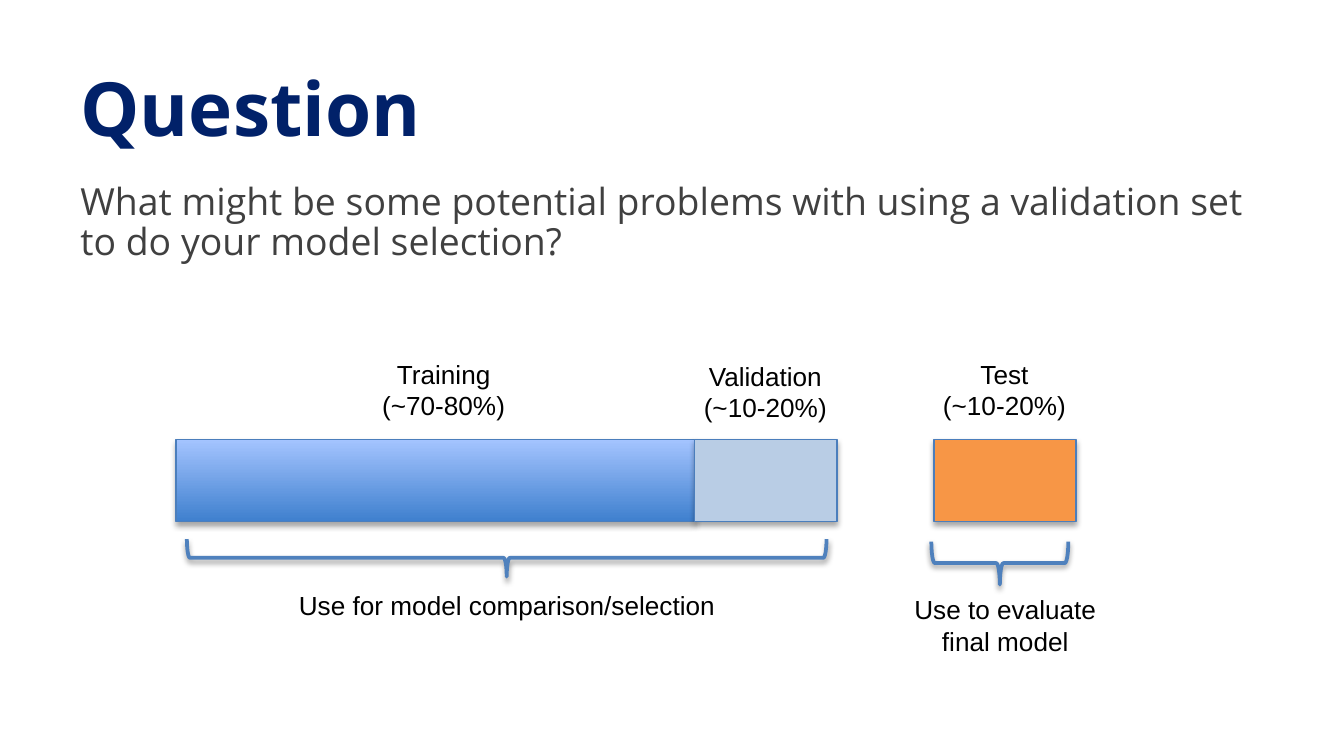
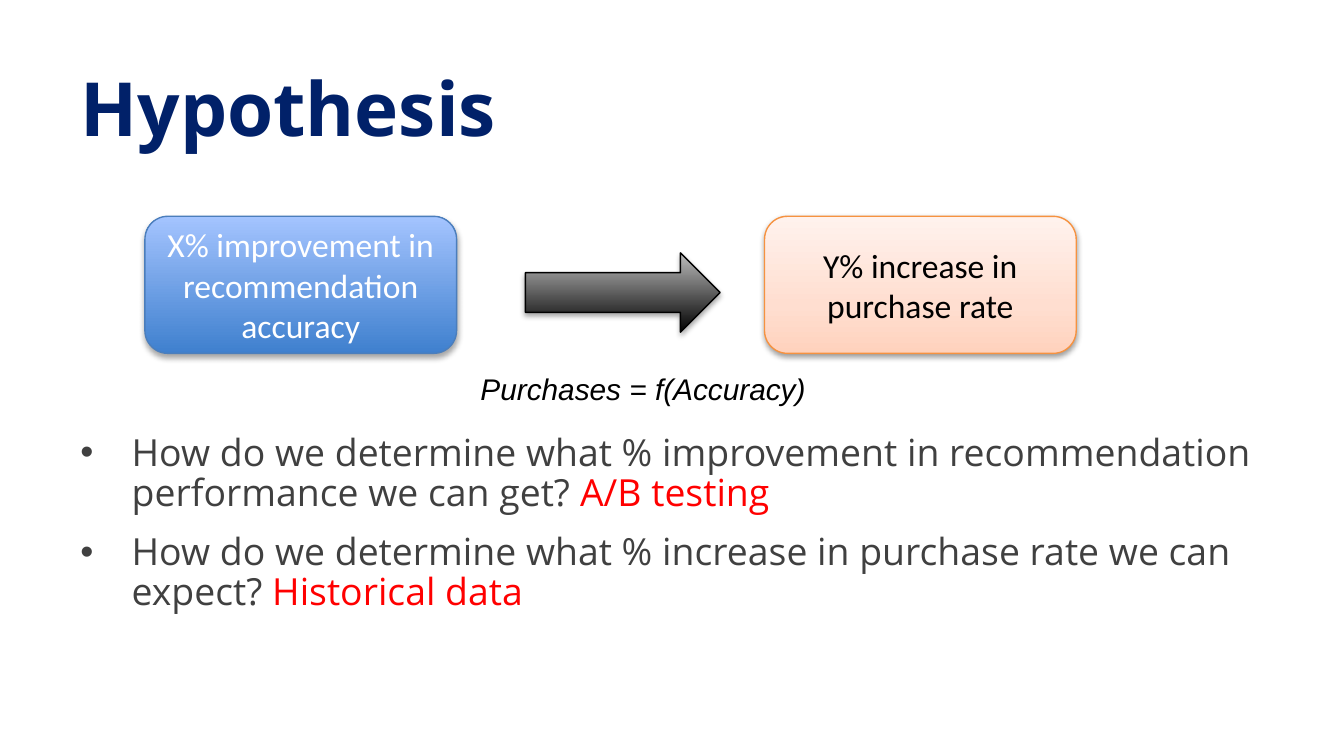
from lxml.etree import SubElement
from pptx import Presentation
from pptx.dml.color import RGBColor
from pptx.enum.shapes import MSO_SHAPE
from pptx.enum.text import MSO_ANCHOR, MSO_AUTO_SIZE, PP_ALIGN
from pptx.oxml.ns import qn
from pptx.util import Cm, Pt

NAVY, GREY, RED, BLACK, WHITE = "012169", "404040", "FF0000", "000000", "FFFFFF"
EDGE_BLUE, BRACE_BLUE, EDGE_ORANGE = "4B7EBC", "4F81BD", "F69240"
PALE_BLUE, ORANGE = "B9CDE5", "F79646"
BLUE_FADE = [(0, "3F80CE"), (100, "A4C4FF")]
BLACK_FADE = [(0, "000000"), (100, "BDBDBD")]
PEACH_FADE = [(0, "FFD2BD"), (35, "FFDED0"), (100, "FFF2ED")]
DEEP_SHADOW, SOFT_SHADOW = (35, 1.8), (38, 1.6)
MARGIN, CONTENT_WIDTH = 1.27, 22.86


def color(hex_value):
    return RGBColor.from_string(hex_value)


def add_figure(slide, preset, box, fill, edge, edge_width=0.75, shadow=DEEP_SHADOW):
    figure = slide.shapes.add_shape(preset, *[Cm(v) for v in box])
    properties = figure._element.spPr
    if fill is None:
        figure.fill.background()
    elif isinstance(fill, str):
        figure.fill.solid()
        figure.fill.fore_color.rgb = color(fill)
    else:
        figure.fill.gradient()
        figure.fill.gradient_angle = 90
        stops = properties.find(qn("a:gradFill")).find(qn("a:gsLst"))
        stops.clear()
        for position, shade in fill:
            stop = SubElement(stops, qn("a:gs"), pos=str(position * 1000))
            SubElement(stop, qn("a:srgbClr"), val=shade)
    figure.line.color.rgb = color(edge)
    figure.line.width = Pt(edge_width)
    figure.shadow.inherit = False
    opacity, distance = shadow
    outer = SubElement(properties.find(qn("a:effectLst")), qn("a:outerShdw"),
                       blurRad=str(Pt(3.1)), dist=str(Pt(distance)),
                       dir="5400000", rotWithShape="0")
    shade = SubElement(outer, qn("a:srgbClr"), val=BLACK)
    SubElement(shade, qn("a:alpha"), val=str(opacity * 1000))
    return figure


deck = Presentation()
deck.slide_width, deck.slide_height = Cm(25.4), Cm(14.29)

contents = [
    ("Question", 3.33, 8.84, False, [
        ("What might be some potential problems with using a validation set "
         "to do your model selection?", None),
    ]),
    ("Hypothesis", 8.08, 4.09, True, [
        ("How do we determine what % improvement in recommendation "
         "performance we can get? ", "A/B testing"),
        ("How do we determine what % increase in purchase rate "
         "we can expect? ", "Historical data"),
    ]),
]
for heading, body_top, body_height, bulleted, points in contents:
    slide = deck.slides.add_slide(deck.slide_layouts[5])
    title = slide.shapes.title
    title.left, title.top = Cm(MARGIN), Cm(1.07)
    title.width, title.height = Cm(CONTENT_WIDTH), Cm(1.88)
    title.text_frame.text = heading
    title.text_frame.auto_size = MSO_AUTO_SIZE.NONE
    title.text_frame.vertical_anchor = MSO_ANCHOR.MIDDLE
    line = title.text_frame.paragraphs[0]
    line.alignment = PP_ALIGN.LEFT
    line.font.name, line.font.size, line.font.bold = "Open Sans", Pt(40), True
    line.font.color.rgb = color(NAVY)

    body = slide.shapes.add_textbox(
        Cm(MARGIN), Cm(body_top), Cm(CONTENT_WIDTH), Cm(body_height)).text_frame
    body.word_wrap = True
    for number, (question, answer) in enumerate(points):
        point = body.add_paragraph() if number else body.paragraphs[0]
        point.line_spacing = 0.9
        if number:
            point.space_before = Pt(4)
        if bulleted:
            point.space_after = Pt(6)
            settings = point._p.get_or_add_pPr()
            settings.set("marL", str(Cm(0.97)))
            settings.set("indent", str(-Cm(0.97)))
            SubElement(settings, qn("a:buFont"), typeface="Arial")
            SubElement(settings, qn("a:buChar"), char="•")
        point.font.name, point.font.size = "Open Sans", Pt(20)
        point.font.color.rgb = color(GREY)
        point.add_run().text = question
        if answer:
            reply = point.add_run()
            reply.text = answer
            reply.font.color.rgb = color(RED)

question_slide, hypothesis_slide = deck.slides

for left, width, fill in [(3.33, 9.8, BLUE_FADE), (13.13, 2.69, PALE_BLUE),
                          (17.65, 2.69, ORANGE)]:
    add_figure(question_slide, MSO_SHAPE.RECTANGLE, (left, 8.31, width, 1.55),
               fill, EDGE_BLUE)

for box in [(9.22, 4.5, 0.71, 12.09), (18.49, 9.35, 0.81, 2.59)]:
    brace = add_figure(question_slide, MSO_SHAPE.RIGHT_BRACE, box, None,
                       BRACE_BLUE, 2, SOFT_SHADOW)
    brace.rotation = 90

add_figure(hypothesis_slide, MSO_SHAPE.RIGHT_ARROW, (9.93, 4.78, 3.68, 1.5),
           BLACK_FADE, BLACK)

for left, statement, fill, edge, ink, shadow in [
    (2.74, "X% improvement in recommendation accuracy", BLUE_FADE, EDGE_BLUE,
     WHITE, DEEP_SHADOW),
    (14.45, "Y% increase in purchase rate", PEACH_FADE, EDGE_ORANGE,
     BLACK, SOFT_SHADOW),
]:
    card = add_figure(hypothesis_slide, MSO_SHAPE.ROUNDED_RECTANGLE,
                      (left, 4.09, 5.89, 2.59), fill, edge, shadow=shadow)
    card.text_frame.text = statement
    card.text_frame.word_wrap = True
    card.text_frame.vertical_anchor = MSO_ANCHOR.MIDDLE
    line = card.text_frame.paragraphs[0]
    line.alignment = PP_ALIGN.CENTER
    line.font.name, line.font.size = "Calibri", Pt(18)
    line.font.color.rgb = color(ink)

for slide, box, caption, size, italic in [
    (question_slide, (4.93, 6.65, 6.91, 1.45), "Training\n(~70-80%)", 14, False),
    (question_slide, (12.8, 6.68, 3.33, 1.45), "Validation\n(~10-20%)", 14, False),
    (question_slide, (17.32, 6.65, 3.33, 1.45), "Test\n(~10-20%)", 14, False),
    (question_slide, (4.39, 11.02, 10.39, 0.86),
     "Use for model comparison/selection", 14, False),
    (question_slide, (16.74, 11.1, 4.52, 1.45),
     "Use to evaluate final model", 14, False),
    (hypothesis_slide, (7.95, 6.88, 8.41, 0.94), "Purchases = f(Accuracy)", 16, True),
]:
    label = slide.shapes.add_textbox(*[Cm(v) for v in box]).text_frame
    label.word_wrap = True
    label.text = caption
    for line in label.paragraphs:
        line.alignment = PP_ALIGN.CENTER
        line.font.name, line.font.size, line.font.italic = "Arial", Pt(size), italic
        line.font.color.rgb = color(BLACK)

deck.save("out.pptx")
